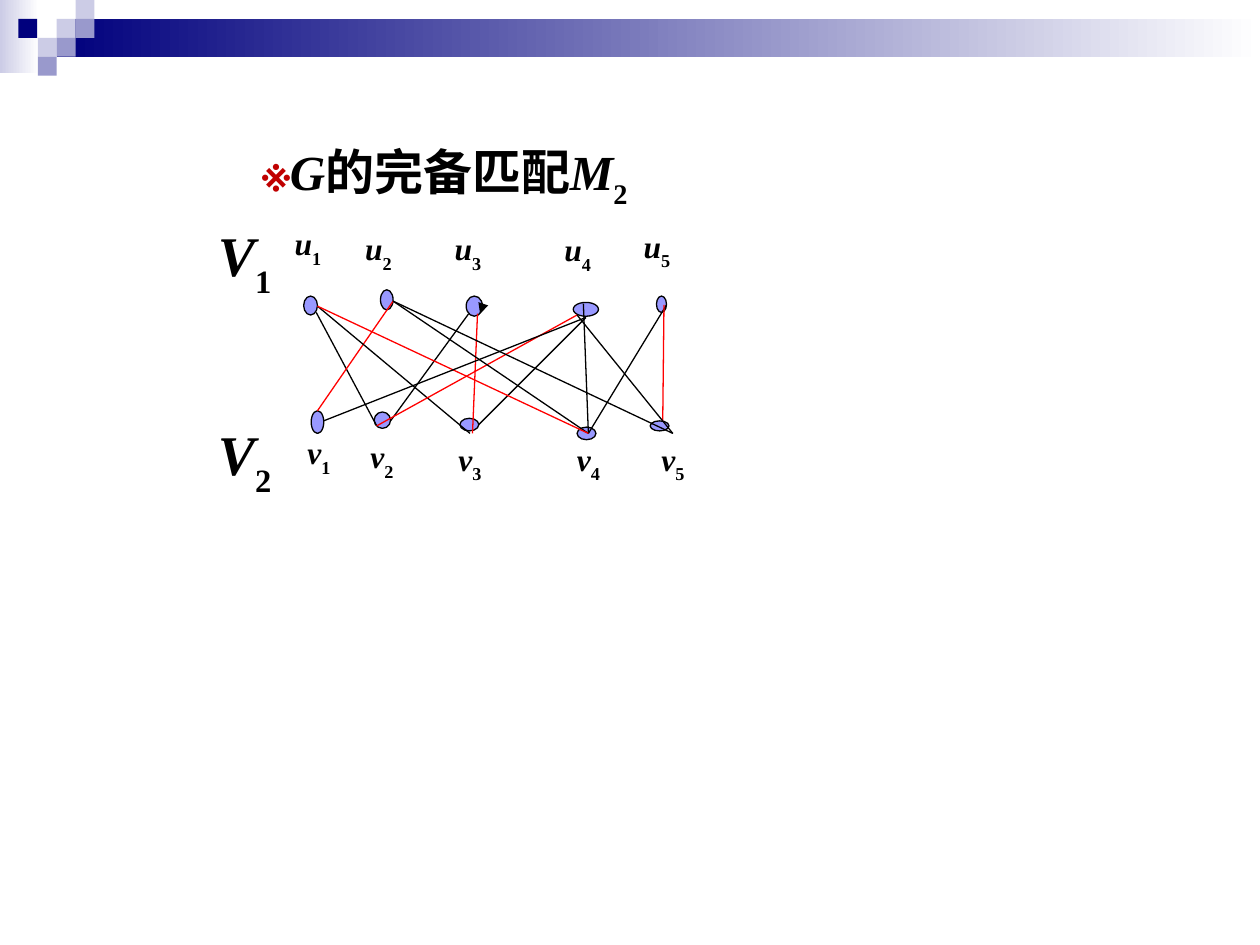
"""Build a slide showing a complete matching in a bipartite graph."""
from dataclasses import dataclass

from lxml import etree
from pptx import Presentation
from pptx import util as u
from pptx.dml.color import RGBColor
from pptx.enum import shapes, text
from pptx.oxml import ns

WIDE, HIGH = u.Inches(10), u.Inches(7.5)
COL, ROW = WIDE / 10, HIGH / 7.5
CELL = 0.15
HUES = {"black": "000000", "red": "FF0000", "mark": "C00000", "node": "9999FF",
        "navy": "00007D", "pale": "CCCCE6", "mid": "9999CC", "white": "FFFFFF"}
SERIF = "Times New Roman"


@dataclass
class Box:
    x: float
    y: float
    w: float
    h: float

    def emu(self) -> list[int]:
        return [round(n * s) for n, s in zip((self.x, self.y, self.w, self.h), (COL, ROW) * 2)]


@dataclass
class Run:
    words: str
    slant: bool = False
    sub: bool = False
    face: str = SERIF
    hue: str = "black"


@dataclass
class Edge:
    start: tuple[float, float]
    end: tuple[float, float]
    hue: str = "black"
    arrow: bool = False


@dataclass
class Node:
    name: str
    dot: Box
    tag: tuple[float, float]


NODES = [
    Node("u1", Box(2.41, 2.35, 0.11, 0.15), (2.24, 1.73)),
    Node("u2", Box(3.02, 2.3, 0.1, 0.16), (2.8, 1.77)),
    Node("u3", Box(3.7, 2.35, 0.13, 0.16), (3.51, 1.77)),
    Node("u4", Box(4.55, 2.4, 0.2, 0.11), (4.38, 1.78)),
    Node("u5", Box(5.21, 2.35, 0.08, 0.13), (5.01, 1.75)),
    Node("v1", Box(2.47, 3.26, 0.1, 0.18), (2.34, 3.39)),
    Node("v2", Box(2.97, 3.27, 0.13, 0.13), (2.84, 3.42)),
    Node("v3", Box(3.65, 3.32, 0.15, 0.1), (3.54, 3.44)),
    Node("v4", Box(4.58, 3.39, 0.15, 0.1), (4.48, 3.44)),
    Node("v5", Box(5.16, 3.34, 0.15, 0.08), (5.15, 3.44)),
]

U1, U2, U4, LOW4 = (2.52, 2.43), (3.12, 2.39), (4.58, 2.5), (4.65, 2.52)
V2, V4, V5 = (2.99, 3.38), (4.67, 3.44), (5.34, 3.44)
EDGES = [
    Edge((3.83, 2.43), (3.81, 2.49), arrow=True),
    Edge((2.51, 2.48), V2),
    Edge(U2, (2.52, 3.26), "red"),
    Edge((4.63, 2.41), V4),
    Edge(U1, (3.73, 3.44)),
    Edge((3.72, 2.49), (3.1, 3.34)),
    Edge((3.79, 2.49), (3.75, 3.44), "red"),
    Edge(U4, V2, "red"),
    Edge(LOW4, (3.8, 3.37)),
    Edge((5.29, 2.42), V4),
    Edge(U2, V5),
    Edge((5.27, 2.42), (5.26, 3.34), "red"),
    Edge(U2, V4),
    Edge(U1, V4, "red"),
    Edge(U4, V5),
    Edge(LOW4, (2.57, 3.34)),
]

BARS = [(Box(0, 0, 0.31, 0.58), "pale"), (Box(0.45, 0.15, 9.55, 0.3), "navy")]
TILES = [(3, 1, "pale"), (4, 0, "pale"), (4, 1, "mid"), (2, 2, "pale"),
         (0.97, 1, "navy"), (3, 2, "mid"), (2, 3, "mid")]
HEAD = [Run("※", hue="mark"), Run("G", True), Run("的完备匹配", face="Arial"),
        Run("M", True), Run("2", sub=True)]


def rgb(hue: str) -> RGBColor:
    return RGBColor.from_string(HUES[hue])


def shape(page, kind, box: Box):
    item = page.shapes.add_shape(kind, *box.emu())
    item.shadow.inherit = False
    item.line.fill.background()
    return item


def paint(item, hue: str) -> None:
    item.fill.solid()
    item.fill.fore_color.rgb = rgb(hue)


def bar(page, box: Box, hue: str) -> None:
    item = shape(page, shapes.MSO_SHAPE.RECTANGLE, box)
    item.fill.gradient()
    item.fill.gradient_angle = 0
    for stop, tint in zip(item.fill.gradient_stops, (hue, "white")):
        stop.color.rgb = rgb(tint)


def tile(page, col: float, row: float, hue: str) -> None:
    box = Box(col * CELL, row * CELL, CELL, CELL)
    paint(shape(page, shapes.MSO_SHAPE.RECTANGLE, box), hue)


def dot(page, box: Box) -> None:
    item = shape(page, shapes.MSO_SHAPE.OVAL, box)
    paint(item, "node")
    item.line.color.rgb = rgb("black")
    item.line.width = u.Pt(0.75)


def link(page, edge: Edge) -> None:
    ends = [round(n * s) for n, s in zip(edge.start + edge.end, (COL, ROW) * 2)]
    item = page.shapes.add_connector(shapes.MSO_CONNECTOR.STRAIGHT, *ends)
    item.line.color.rgb = rgb(edge.hue)
    item.line.width = u.Pt(0.75)
    if edge.arrow:
        etree.SubElement(item.line._get_or_add_ln(), ns.qn("a:tailEnd"), type="triangle")
    etree.SubElement(item._element.spPr, ns.qn("a:effectLst"))


def write(item, runs: list[Run], size: float) -> None:
    frame = item.text_frame
    form = {"word_wrap": False, "auto_size": text.MSO_AUTO_SIZE.NONE,
            "vertical_anchor": text.MSO_ANCHOR.TOP}
    for key, value in form.items():
        setattr(frame, key, value)
    para = frame.paragraphs[0]
    para.alignment = text.PP_ALIGN.LEFT
    for part in runs:
        run = para.add_run()
        run.text = part.words
        form = {"name": part.face, "size": u.Pt(size), "bold": True, "italic": part.slant}
        for key, value in form.items():
            setattr(run.font, key, value)
        run.font.color.rgb = rgb(part.hue)
        if part.sub:
            run.font._element.set("baseline", "-30000")


def label(page, box: Box, name: str, size: float) -> None:
    item = page.shapes.add_textbox(*box.emu())
    write(item, [Run(name[0], True), Run(name[1], sub=True)], size)


def title(page, box: Box) -> None:
    item = page.shapes.title
    for key, value in zip(("left", "top", "width", "height"), box.emu()):
        setattr(item, key, value)
    write(item, HEAD, 28)


def main() -> None:
    deck = Presentation()
    deck.slide_width, deck.slide_height = WIDE, HIGH
    page = deck.slides.add_slide(deck.slide_layouts[5])
    title(page, Box(1.98, 1.07, 3.38, 0.65))
    for box, hue in BARS:
        bar(page, box, hue)
    for spot in TILES:
        tile(page, *spot)
    for node in NODES:
        dot(page, node.dot)
        label(page, Box(*node.tag, 0.42, 0.46), node.name, 18)
    for edge in EDGES:
        link(page, edge)
    for name, top in (("V1", 1.7), ("V2", 3.28)):
        label(page, Box(1.63, top, 0.65, 0.73), name, 32)
    deck.save("out.pptx")


if __name__ == "__main__":
    main()
